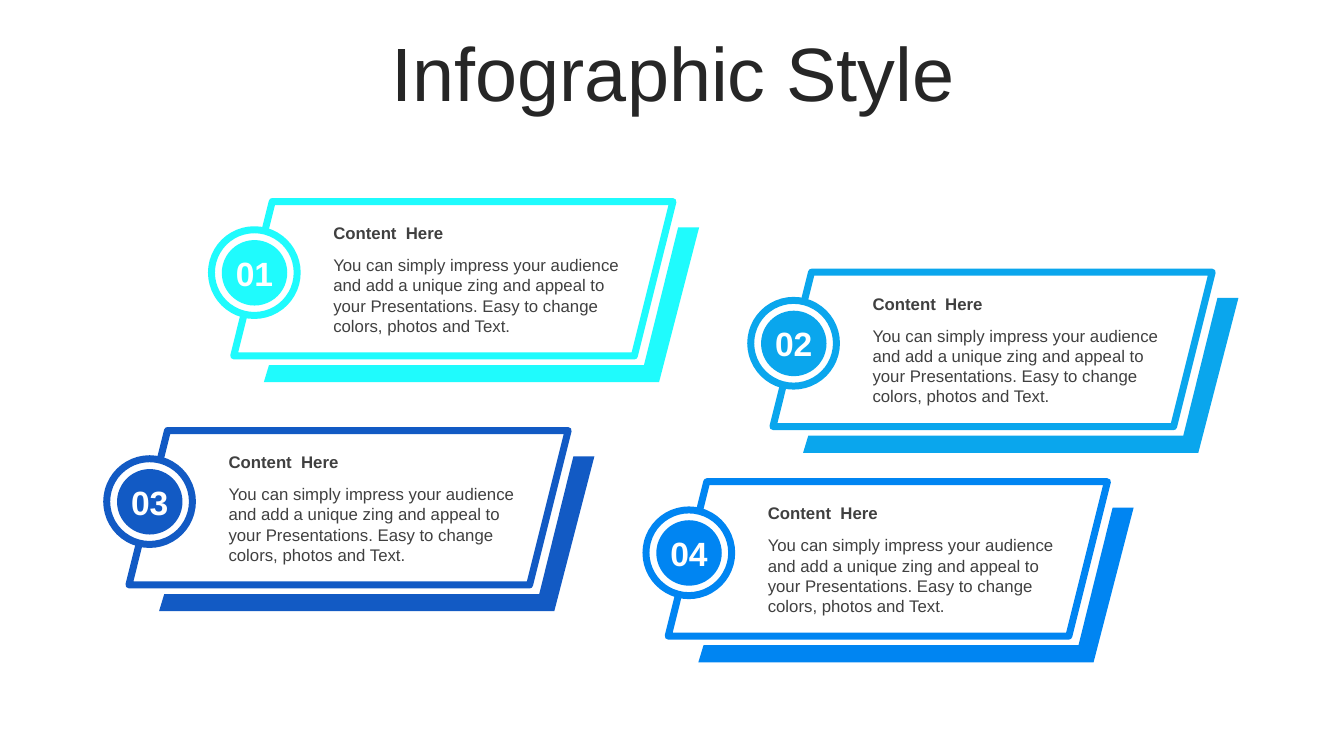
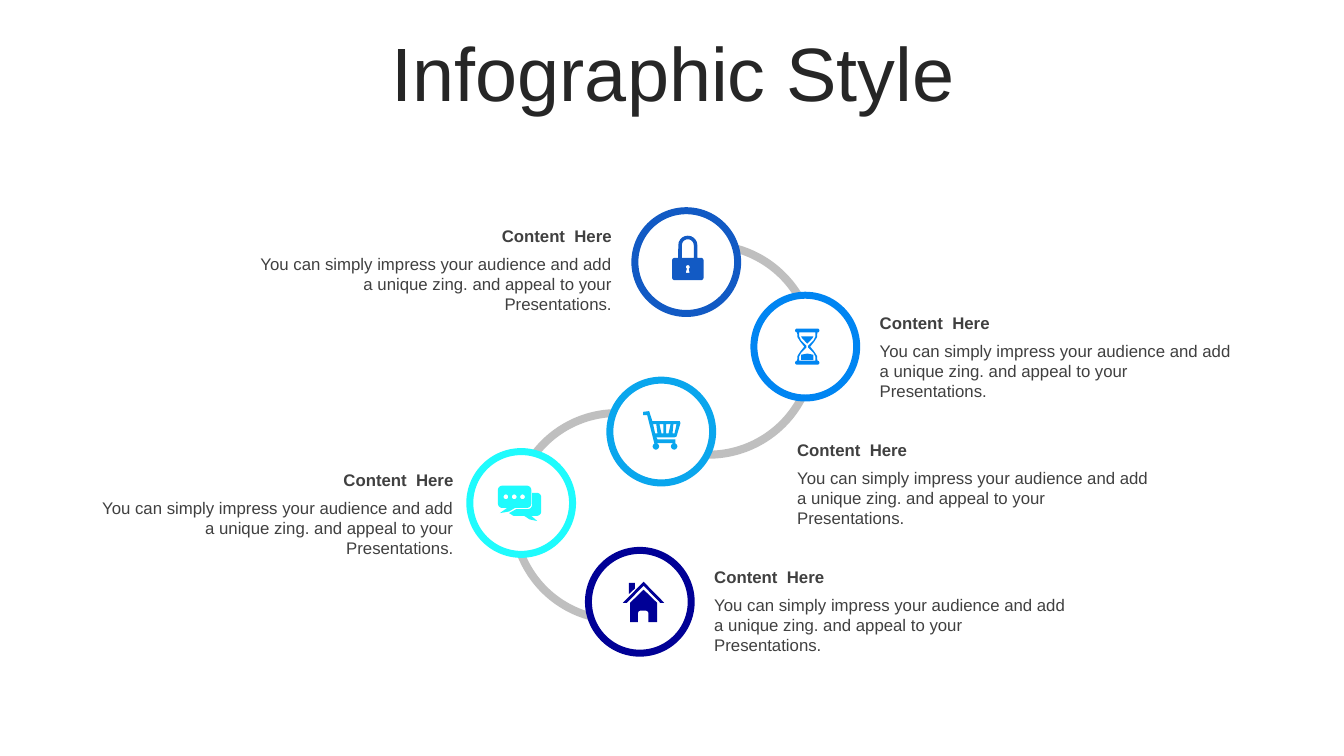
"""Build two infographic slides: numbered panels and a chain of icons."""
from math import cos, radians, sin

from pptx import Presentation
from pptx.dml.color import RGBColor
from pptx.enum import shapes as es, text as et
from pptx.oxml.ns import qn
from pptx.util import Cm, Pt

CYAN = RGBColor(0x1F, 0xFB, 0xFD)
SKY = RGBColor(0x0A, 0xA6, 0xED)
AZURE = RGBColor(0x00, 0x85, 0xF2)
BLUE = RGBColor(0x12, 0x5A, 0xC4)
NAVY = RGBColor(0x00, 0x00, 0x96)
WHITE = RGBColor(0xFF, 0xFF, 0xFF)
GREY = RGBColor(0xBF, 0xBF, 0xBF)
INK = RGBColor(0x26, 0x26, 0x26)
TEXT = RGBColor(0x40, 0x40, 0x40)
FONT = "Arial"
KIND = es.MSO_SHAPE
SIDE = et.PP_ALIGN

TITLE = "Infographic Style"
HEAD = "Content  Here"
LONG = ("You can simply impress your audience and add a unique zing and appeal "
        "to your Presentations. Easy to change colors, photos and Text.")
SHORT = ("You can simply impress your audience and add a unique zing. "
         "and appeal to your Presentations.")

PANELS = [
    ("01", CYAN, 5.89, 5.08),
    ("03", BLUE, 3.25, 10.85),
    ("02", SKY, 19.48, 6.86),
    ("04", AZURE, 16.84, 12.14),
]
EDGE = [(11.2, 0.65), (11.73, 0.65), (10.72, 4.55),
        (0.76, 4.55), (0.89, 4.12), (10.34, 4.12)]
ARCS = [(12.85, 10.31, 5.41, True), (15.11, 6.07, 5.49, False)]
SWEEP = (155.887, 66.705, 0.037)


def arc(x, y, r, a, b, n=10):
    turns = [radians(a + (b - a) * i / n) for i in range(n + 1)]
    return [(x + r * cos(t), y + r * sin(t)) for t in turns]


def dot(x, y, r):
    return arc(x, y, r, 0, 360, 24)


def pill(x, y, w, h, r):
    return (arc(x + r, y + r, r, 180, 270) + arc(x + w - r, y + r, r, 270, 360)
            + arc(x + w - r, y + h - r, r, 0, 90)
            + arc(x + r, y + h - r, r, 90, 180))


def mirror(half, mid):
    return half + [(2 * mid - x, y) for x, y in reversed(half)]


LOCK = [
    pill(0, 5.6, 7.9, 5.6, 0.6),
    [(1.5, 5.6)] + arc(3.95, 2.4, 2.4, 180, 360) + [(6.35, 5.6), (5.45, 5.6)]
    + arc(3.95, 2.4, 1.5, 360, 180) + [(2.45, 5.6)],
    arc(3.95, 7.9, 0.5, 120, 420) + [(4.4, 9.4), (3.4, 9.4)],
]
GLASS = [
    pill(0, 0, 6.1, 1, 0.5),
    pill(0, 8.1, 6.1, 1, 0.5),
    mirror([(5.6, 1), (5.5, 2.2), (4.8, 3.3), (3.8, 4.55),
            (4.8, 5.8), (5.5, 6.9), (5.6, 8.1)], 3.05),
    mirror([(5.1, 1), (5.1, 2), (4.6, 3), (3.3, 4.3), (3.3, 4.8),
            (4.6, 6.1), (5.1, 7.1), (5.1, 8.1)], 3.05),
    mirror([(4.6, 2), (4.3, 2.5), (3.05, 3.8)], 3.05),
    mirror([(3.05, 6.3), (4.6, 6.6), (4.6, 7.9)], 3.05),
]
CART = [
    [(1.5, 0), (2.3, 2.5), (9.2, 2.5), (9.4, 3), (8.4, 6.4), (7.9, 6.6),
     (3.3, 6.6), (3.6, 7.1), (8.1, 7.1), (8.1, 8.1), (2.8, 8.1),
     (1, 1), (0, 1), (0, 0.2)],
    [(2.5, 3.3), (3, 5.6), (3.6, 5.6), (3.3, 3.3)],
    [(4.1, 3.3), (4.6, 5.6), (5.1, 5.6), (5.1, 3.3)],
    [(5.8, 3.3), (5.8, 5.6), (6.4, 5.6), (6.9, 3.3)],
    [(7.6, 3.3), (7.4, 5.6), (7.9, 5.6), (8.4, 3.3)],
    dot(3.2, 8.9, 0.8),
    dot(7.8, 8.9, 0.8),
]
CHAT = [
    arc(1.1, 1.1, 1.1, 180, 270) + arc(7.3, 1.1, 1.1, 270, 360)
    + arc(7.3, 4.5, 1.1, 0, 90) + [(4.3, 5.6), (2.8, 6.5), (0.5, 6.9), (2.3, 5.6)]
    + arc(1.1, 4.5, 1.1, 90, 180),
    [(8.6, 1.8)] + arc(9.8, 2.9, 1.1, 270, 360) + arc(9.8, 6.5, 1.1, 0, 90)
    + [(8.4, 7.6), (9.9, 8.9), (8, 8.5), (6.6, 7.6)]
    + [(3.9, 7.6), (2.8, 6.9), (4.6, 5.9)] + arc(7.5, 4.8, 1.1, 90, 0),
] + [dot(x, 2.8, 0.6) for x in (2, 4.1, 6.2)]
HOME = [
    [(5.2, 2), (8.6, 5.3), (8.6, 10.2), (6.4, 10.2)]
    + arc(5.8, 7.9, 0.6, 0, -90) + arc(4.4, 7.9, 0.6, 270, 180)
    + [(3.8, 10.2), (1.8, 10.2), (1.8, 5.3)],
    [(1.5, 0.3), (3, 0.3), (3, 1.7), (1.5, 3.1)],
    [(5.2, 0), (10.4, 5.3), (9.4, 5.3), (5.2, 1), (1, 5.3), (0, 5.3)],
]

STEPS = [
    (BLUE, (16, 5.31), LOCK, (16.94, 5.94), (6.12, 5.56), SIDE.RIGHT),
    (AZURE, (19, 7.44), GLASS, (20.04, 8.28), (21.92, 7.75), SIDE.LEFT),
    (SKY, (15.37, 9.58), CART, (16.21, 10.36), (19.84, 10.95), SIDE.LEFT),
    (CYAN, (11.84, 11.38), CHAT, (12.55, 12.24), (2.13, 11.71), SIDE.RIGHT),
    (NAVY, (14.83, 13.87), HOME, (15.7, 14.66), (17.75, 14.15), SIDE.LEFT),
]


def paint(shape, fill, line=None):
    shape.shadow.inherit = False
    shape.fill.solid()
    shape.fill.fore_color.rgb = fill
    if line is None:
        shape.line.fill.background()
    else:
        shape.line.color.rgb = line
        shape.line.width = Pt(5)
    return shape


def preset(slide, kind, x, y, w, h, fill, line=None):
    shape = slide.shapes.add_shape(kind, Cm(x), Cm(y), Cm(w), Cm(h))
    return paint(shape, fill, line)


def outline(slide, loops, x, y, unit, fill):
    """Draw closed loops of points, in units of the given cm, as one shape."""
    pen = None
    for loop in loops:
        first, *rest = [(Cm(x + px * unit), Cm(y + py * unit)) for px, py in loop]
        if pen is None:
            pen = slide.shapes.build_freeform(*first)
        else:
            pen.move_to(*first)
        pen.add_line_segments(rest, close=True)
    return paint(pen.convert_to_shape(), fill)


def write(frame, words, size, color, align, bold=False):
    par = frame.paragraphs[0]
    par.alignment = align
    run = par.add_run()
    run.text = words
    run.font.name = FONT
    run.font.size = Pt(size)
    run.font.bold = bold
    run.font.color.rgb = color
    return par


def label(slide, words, x, y, w, h, align, bold=False):
    frame = slide.shapes.add_textbox(Cm(x), Cm(y), Cm(w), Cm(h)).text_frame
    frame.word_wrap = True
    if bold:
        frame.vertical_anchor = et.MSO_ANCHOR.MIDDLE
    write(frame, words, 12, TEXT, align, bold)


def start(deck, layout):
    slide = deck.slides.add_slide(layout)
    par = write(slide.shapes.title.text_frame, TITLE, 54, INK, SIDE.CENTER)
    par.line_spacing = 0.9
    return slide


def panel(slide, num, color, x, y):
    preset(slide, KIND.PARALLELOGRAM, x, y, 11.07, 3.89, WHITE, color)
    outline(slide, [EDGE], x, y, 1, color)
    label(slide, LONG, x + 2.26, y + 1.22, 7.82, 2.31, SIDE.LEFT)
    label(slide, HEAD, x + 2.26, y + 0.41, 7.82, 0.76, SIDE.LEFT, True)
    preset(slide, KIND.OVAL, x - 0.56, y + 0.71, 2.16, 2.16, WHITE, color)
    disc = preset(slide, KIND.OVAL, x - 0.3, y + 0.97, 1.65, 1.65, color)
    frame = disc.text_frame
    frame.margin_left = frame.margin_right = 0
    frame.margin_top = frame.margin_bottom = 0
    frame.word_wrap = False
    frame.vertical_anchor = et.MSO_ANCHOR.MIDDLE
    write(frame, num, 24, WHITE, SIDE.CENTER, True)


def main():
    deck = Presentation()
    deck.slide_width, deck.slide_height = Cm(33.87), Cm(19.05)
    layout = deck.slide_layouts[5]
    head = layout.placeholders[0]
    head.left, head.top, head.width, head.height = map(Cm, (0.89, 0.94, 32.16, 2.01))
    head.text_frame.vertical_anchor = et.MSO_ANCHOR.MIDDLE
    head.text_frame.auto_size = et.MSO_AUTO_SIZE.NONE

    slide = start(deck, layout)
    for item in PANELS:
        panel(slide, *item)

    slide = start(deck, layout)
    for x, y, size, flip in ARCS:
        band = preset(slide, KIND.BLOCK_ARC, x, y, size, size, GREY)
        for i, value in enumerate(SWEEP):
            band.adjustments[i] = value
        if flip:
            band._element.spPr.find(qn("a:xfrm")).set("flipH", "1")
    for color, ring, icon, spot, (x, y), align in STEPS:
        preset(slide, KIND.OVAL, *ring, 2.59, 2.59, WHITE, color)
        outline(slide, icon, *spot, 0.1, color)
        label(slide, HEAD, x, y, 9.55, 0.76, align, True)
        label(slide, SHORT, x, y + 0.71, 9.55, 1.27, align)
    deck.save("out.pptx")


if __name__ == "__main__":
    main()
